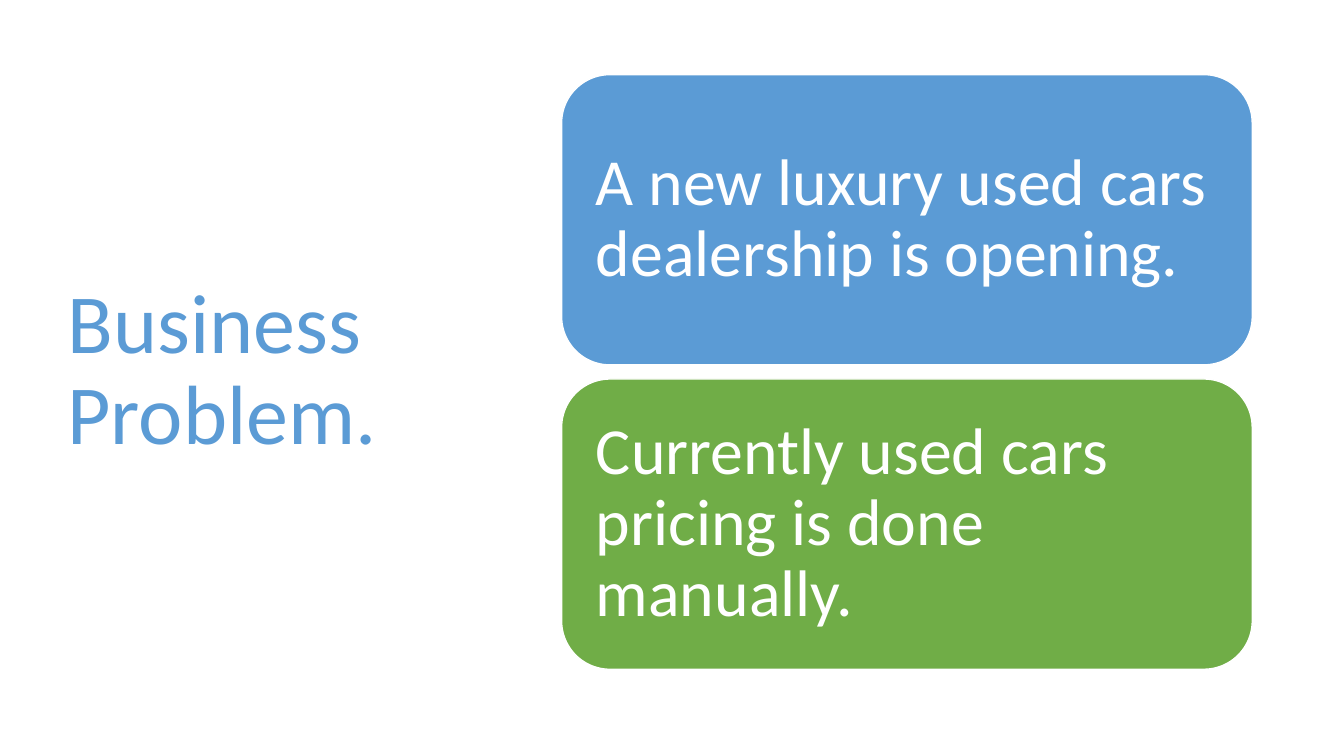
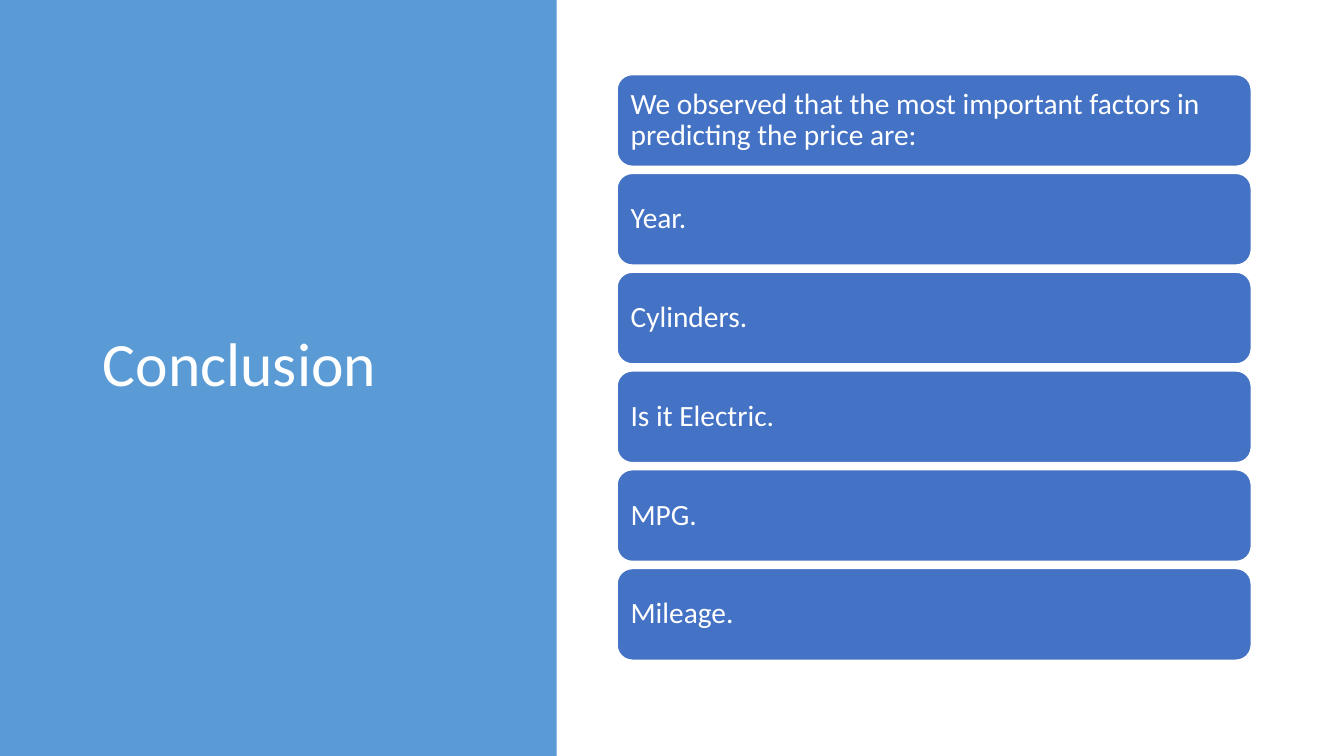
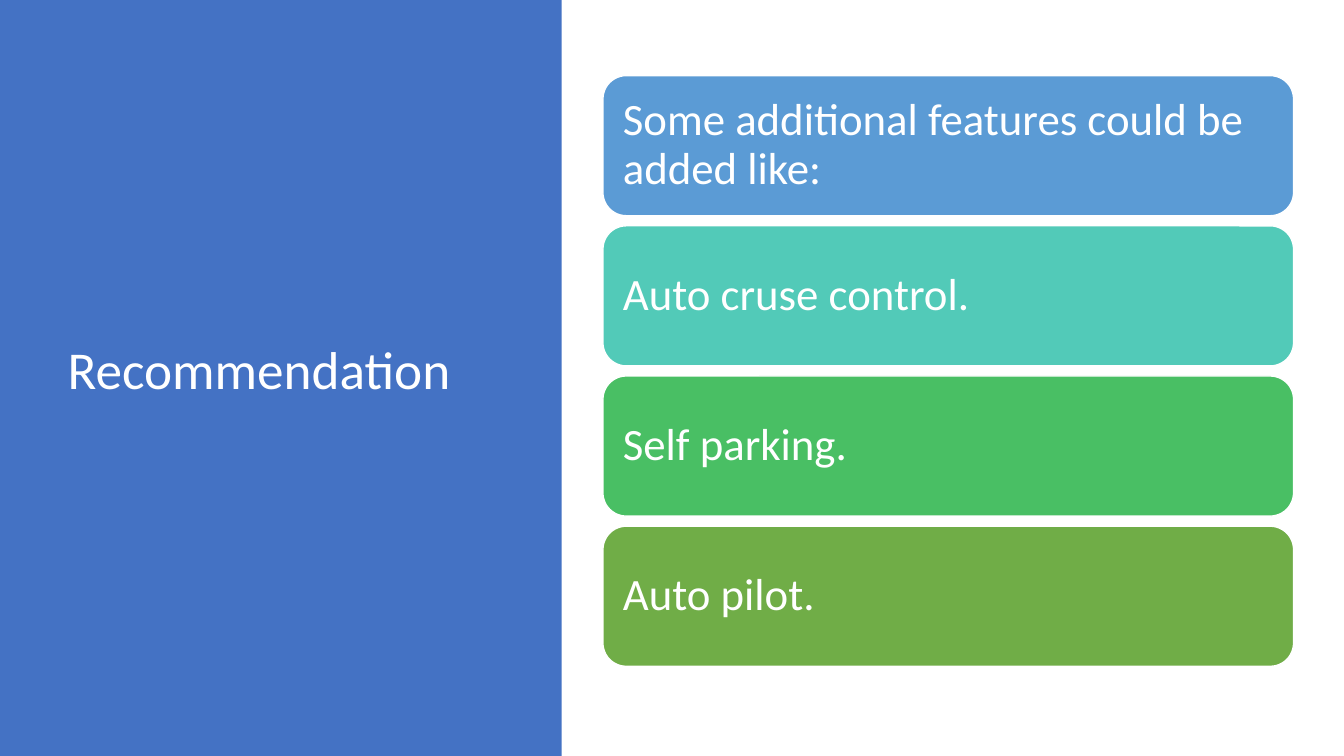
from dataclasses import dataclass

import pptx
import pptx.dml.color
import pptx.enum.shapes
import pptx.enum.text
import pptx.util

Inches = pptx.util.Inches
Pt = pptx.util.Pt


def rgb(value):
    return pptx.dml.color.RGBColor.from_string(value)


@dataclass(frozen=True)
class Theme:
    font = "Calibri"
    white = rgb("FFFFFF")
    sky = rgb("5B9BD5")
    blue = rgb("4472C4")
    teal = rgb("52CAB8")
    emerald = rgb("49BF64")
    green = rgb("70AD47")
    problem_title = 60
    conclusion_title = 44
    recommendation_title = 38
    problem_card = 47
    conclusion_card = 21
    recommendation_card = 32
    line_spacing = 0.9
    outline = 1


THEME = Theme()
SLIDE_WIDTH, SLIDE_HEIGHT = 13.33, 7.5
TITLE_TOP = 0.68


@dataclass(frozen=True)
class CardStack:
    left: float
    top: float
    width: float
    height: float
    gap: float
    inset: float
    size: int


def write(frame, text, size, color):
    frame.word_wrap = True
    frame.auto_size = pptx.enum.text.MSO_AUTO_SIZE.NONE
    frame.vertical_anchor = pptx.enum.text.MSO_ANCHOR.MIDDLE
    paragraph = frame.paragraphs[0]
    paragraph.alignment = pptx.enum.text.PP_ALIGN.LEFT
    paragraph.line_spacing = THEME.line_spacing
    run = paragraph.add_run()
    run.text = text
    run.font.name = THEME.font
    run.font.size = Pt(size)
    run.font.color.rgb = color


def add_titled_slide(deck, text, size, color, left, width, height):
    slide = deck.slides.add_slide(deck.slide_layouts[5])
    title = slide.shapes.title
    title.left, title.top = Inches(left), Inches(TITLE_TOP)
    title.width, title.height = Inches(width), Inches(height)
    write(title.text_frame, text, size, color)
    return slide


def add_block(slide, preset, left, top, width, height, fill):
    block = slide.shapes.add_shape(
        preset, Inches(left), Inches(top), Inches(width), Inches(height))
    block.shadow.inherit = False
    block.fill.solid()
    block.fill.fore_color.rgb = fill
    return block


def add_side_panel(slide, width, fill):
    panel = add_block(slide, pptx.enum.shapes.MSO_SHAPE.RECTANGLE,
                      0, 0, width, SLIDE_HEIGHT, fill)
    panel.line.fill.background()
    slide.shapes.title.element.addprevious(panel.element)


def add_cards(slide, stack, cards):
    for row, (text, fill) in enumerate(cards):
        top = stack.top + row * (stack.height + stack.gap)
        card = add_block(slide, pptx.enum.shapes.MSO_SHAPE.ROUNDED_RECTANGLE,
                         stack.left, top, stack.width, stack.height, fill)
        card.line.color.rgb = THEME.white
        card.line.width = Pt(THEME.outline)
        frame = card.text_frame
        frame.margin_left = frame.margin_right = Inches(stack.inset)
        frame.margin_top = frame.margin_bottom = Inches(stack.inset)
        write(frame, text, stack.size, THEME.white)


def build_problem(deck):
    slide = add_titled_slide(deck, "Business Problem.", THEME.problem_title,
                             THEME.sky, 0.57, 4.16, 6.02)
    stack = CardStack(5.57, 0.74, 6.85, 2.88, 0.14, 0.2, THEME.problem_card)
    add_cards(slide, stack, [
        ("A new luxury used cars dealership is opening.", THEME.sky),
        ("Currently used cars pricing is done manually.", THEME.green),
    ])


def build_conclusion(deck):
    slide = add_titled_slide(deck, "Conclusion", THEME.conclusion_title,
                             THEME.white, 0.92, 4.12, 5.92)
    add_side_panel(slide, 5.52, THEME.sky)
    stack = CardStack(6.12, 0.74, 6.29, 0.91, 0.07, 0.09, THEME.conclusion_card)
    factors = [
        "We observed that the most important factors in predicting the price are:",
        "Year.",
        "Cylinders.",
        "Is it Electric.",
        "MPG.",
        "Mileage.",
    ]
    add_cards(slide, stack, [(factor, THEME.blue) for factor in factors])


def build_recommendation(deck):
    slide = add_titled_slide(deck, "Recommendation", THEME.recommendation_title,
                             THEME.white, 0.57, 4.16, 6.02)
    add_side_panel(slide, 5.57, THEME.blue)
    stack = CardStack(5.98, 0.75, 6.85, 1.39, 0.1, 0.13, THEME.recommendation_card)
    add_cards(slide, stack, [
        ("Some additional features could be added like:", THEME.sky),
        ("Auto cruse control.", THEME.teal),
        ("Self parking.", THEME.emerald),
        ("Auto pilot.", THEME.green),
    ])


def main():
    deck = pptx.Presentation()
    deck.slide_width = Inches(SLIDE_WIDTH)
    deck.slide_height = Inches(SLIDE_HEIGHT)
    build_problem(deck)
    build_conclusion(deck)
    build_recommendation(deck)
    deck.save("out.pptx")


if __name__ == "__main__":
    main()
